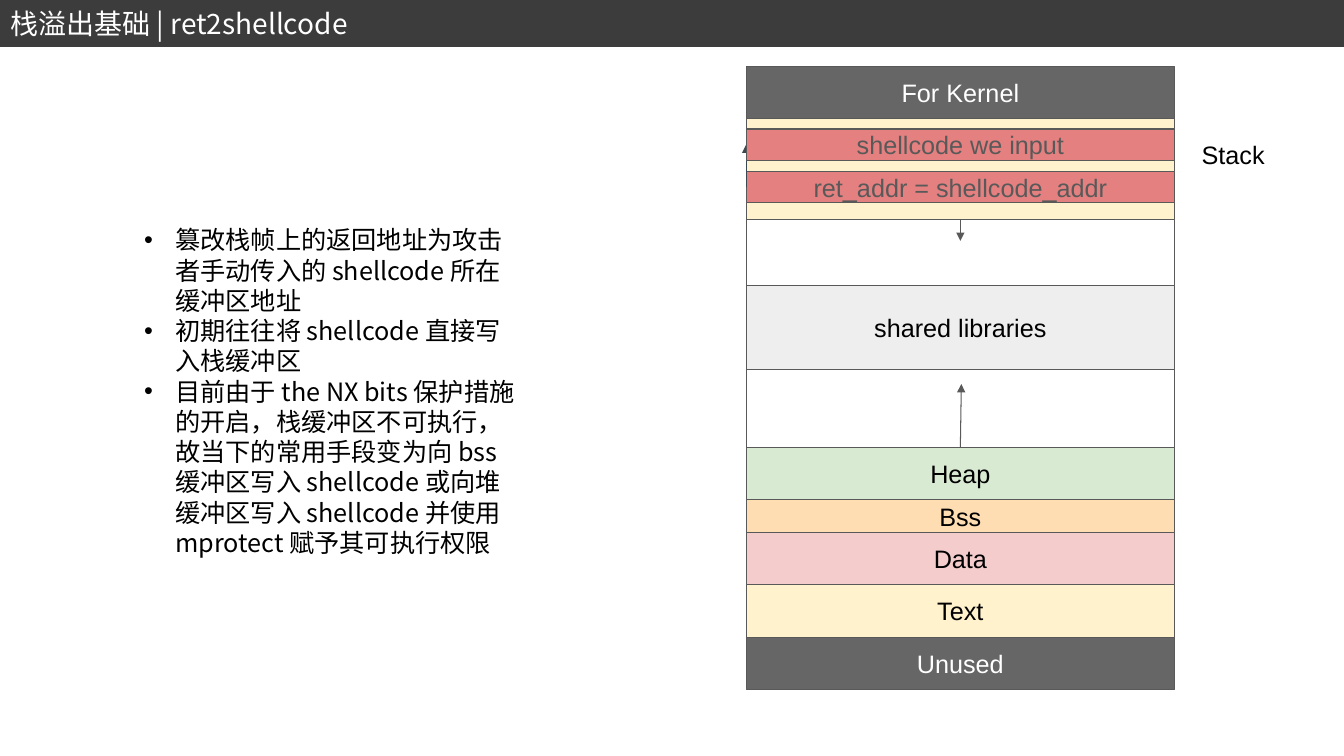
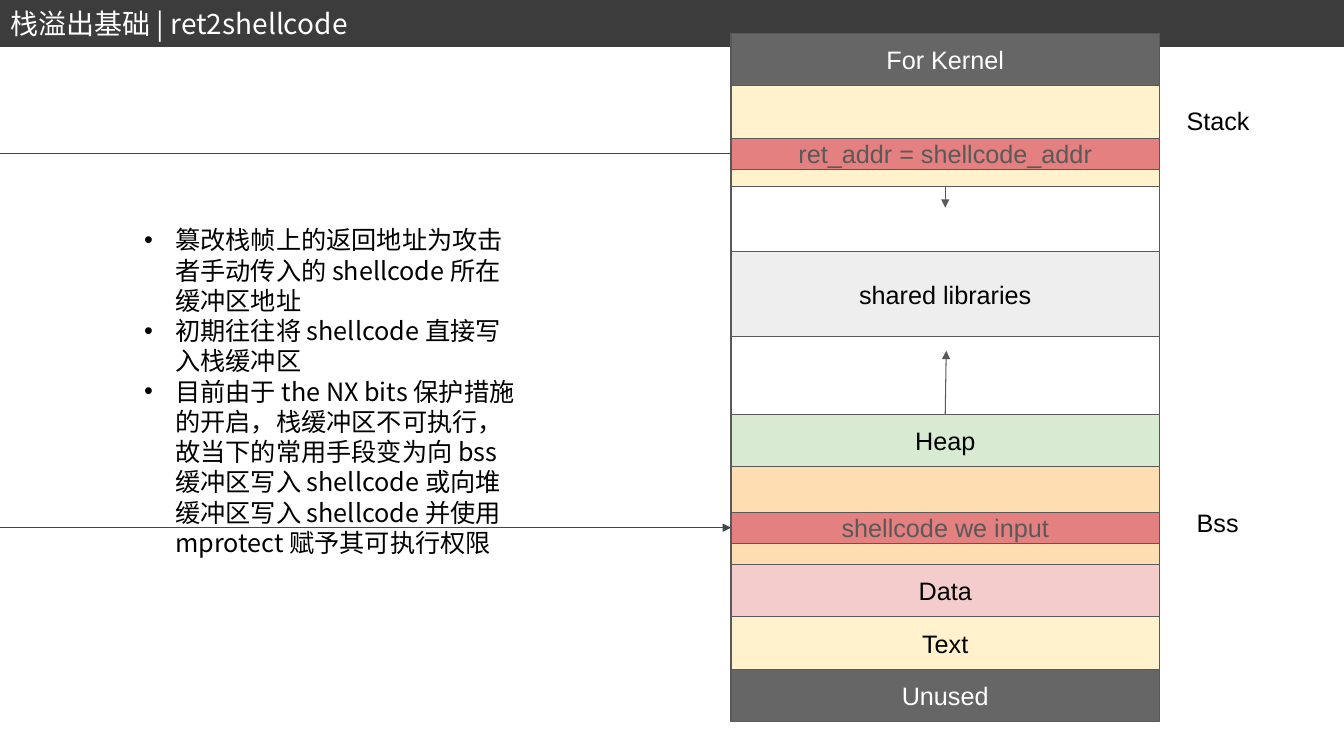
from lxml import etree
from pptx import Presentation
from pptx import util as u
from pptx.dml.color import RGBColor
from pptx.enum import shapes, text
from pptx.oxml.ns import qn

COLOURS = {
    "band": "3C3C3C", "white": "FFFFFF", "black": "000000", "border": "595959",
    "reserved": "666666", "sand": "FFF2CC", "library": "EEEEEE", "heap": "D9EAD3",
    "bss": "FFDDB3", "data": "F4CCCC", "attack": "E48080", "jump": "3A4950",
}
LATIN_FONT = "Arial"
CHINESE_FONT = "Noto Sans CJK SC"
TITLE = "栈溢出基础 | ret2shellcode"
POINTS = [
    "篡改栈帧上的返回地址为攻击者手动传入的 shellcode 所在缓冲区地址",
    "初期往往将 shellcode 直接写入栈缓冲区",
    "目前由于 the NX bits 保护措施的开启，栈缓冲区不可执行，故当下的常用手段变为向 bss "
    "缓冲区写入 shellcode 或向堆缓冲区写入 shellcode 并使用 mprotect 赋予其可执行权限",
]
# name, label, height, fill, font colour; the height of Bss differs by slide
SEGMENTS = [
    ("kernel", "For Kernel", 0.52, "reserved", "white"),
    ("stack", "", 1.0, "sand", "black"),
    ("upper gap", "", 0.65, "white", "black"),
    ("libraries", "shared libraries", 0.84, "library", "black"),
    ("lower gap", "", 0.77, "white", "black"),
    ("heap", "Heap", 0.52, "heap", "black"),
    ("bss", "Bss", None, "bss", "black"),
    ("data", "Data", 0.52, "data", "black"),
    ("text", "Text", 0.52, "sand", "black"),
    ("unused", "Unused", 0.52, "reserved", "white"),
]
MAP_WIDTH = 4.25
STRIP_HEIGHT = 0.31
RETURN_OFFSET = 1.04
TOP, LEFT, BOTTOM = 0, 1, 2


def rgb(name):
    return RGBColor.from_string(COLOURS[name])


def inches(*values):
    return [u.Inches(value) for value in values]


def add_run(paragraph, words, size, colour, font=LATIN_FONT):
    run = paragraph.add_run()
    run.text = words
    run.font.size = u.Pt(size)
    run.font.color.rgb = rgb(colour)
    run.font.name = font
    if font == CHINESE_FONT:
        properties = run.font._element
        etree.SubElement(properties, qn("a:ea")).set("typeface", font)


def add_box(slide, left, top, width, height, fill, label="", font_colour="black",
            line="border", line_width=0.75):
    shape = slide.shapes.add_shape(shapes.MSO_SHAPE.RECTANGLE,
                                   *inches(left, top, width, height))
    shape.shadow.inherit = False
    shape.fill.solid()
    shape.fill.fore_color.rgb = rgb(fill)
    shape.line.color.rgb = rgb(line)
    shape.line.width = u.Pt(line_width)
    if label:
        frame = shape.text_frame
        frame.vertical_anchor = text.MSO_ANCHOR.MIDDLE
        frame.margin_left = frame.margin_right = u.Inches(0.1)
        frame.margin_top = frame.margin_bottom = u.Inches(0.1)
        paragraph = frame.paragraphs[0]
        paragraph.alignment = text.PP_ALIGN.CENTER
        add_run(paragraph, label, 18, font_colour)
    return shape


def add_line(slide, start, end, colour="border", arrow=True):
    connector = slide.shapes.add_connector(shapes.MSO_CONNECTOR.STRAIGHT,
                                           *inches(*start, *end))
    connector.line.color.rgb = rgb(colour)
    connector.line.width = u.Pt(0.75)
    if arrow:
        line = connector.line._get_or_add_ln()
        etree.SubElement(line, qn("a:tailEnd")).set("type", "triangle")
    etree.SubElement(connector._element.spPr, qn("a:effectLst"))
    return connector


def add_text_frame(slide, left, top, width, height):
    frame = slide.shapes.add_textbox(*inches(left, top, width, height)).text_frame
    frame.word_wrap = True
    return frame


def add_label(slide, left, top, width, words):
    frame = add_text_frame(slide, left, top, width, 0.4)
    add_run(frame.paragraphs[0], words, 18, "black")


def add_points(slide):
    frame = add_text_frame(slide, 1.33, 2.18, 3.95, 3.43)
    for index, words in enumerate(POINTS):
        paragraph = frame.add_paragraph() if index else frame.paragraphs[0]
        paragraph.line_spacing = u.Pt(21.6)
        properties = paragraph._p.get_or_add_pPr()
        properties.set("marL", str(u.Inches(0.31)))
        properties.set("indent", str(-u.Inches(0.31)))
        etree.SubElement(properties, qn("a:buFont")).set("typeface", LATIN_FONT)
        etree.SubElement(properties, qn("a:buChar")).set("char", "•")
        add_run(paragraph, words, 18, "black", CHINESE_FONT)


def add_band(layout, slide):
    """Put the title band behind everything on the layout."""
    band = add_box(slide, 0, 0.01, 13.33, 0.44, "band", line="band", line_width=2)
    layout.shapes.element.insert(2, band.element)


def add_title(slide):
    title = slide.shapes.title
    title.left, title.top, title.width, title.height = inches(0, 0.01, 6.17, 0.44)
    frame = title.text_frame
    frame.vertical_anchor = text.MSO_ANCHOR.MIDDLE
    frame.auto_size = text.MSO_AUTO_SIZE.NONE
    paragraph = frame.paragraphs[0]
    paragraph.alignment = text.PP_ALIGN.LEFT
    paragraph.line_spacing = u.Pt(24)
    add_run(paragraph, TITLE, 20, "white", CHINESE_FONT)


def add_strip(slide, left, top, label):
    return add_box(slide, left, top, MAP_WIDTH, STRIP_HEIGHT, "attack", label, "border")


def add_memory_map(slide, left, top, bss_height, bss_label):
    """Stack the segments downwards and return the strip with the return address."""
    boxes, tops = {}, {}
    segment_top = top
    for name, label, height, fill, font_colour in SEGMENTS:
        if name == "bss":
            height, label = bss_height, bss_label
        boxes[name] = add_box(slide, left, segment_top, MAP_WIDTH, height,
                              fill, label, font_colour)
        tops[name] = segment_top
        segment_top += height

    middle = left + MAP_WIDTH / 2
    stack_end, heap_start = tops["upper gap"], tops["heap"]
    growth = add_line(slide, (middle, stack_end), (middle, stack_end + 0.21))
    growth.begin_connect(boxes["stack"], BOTTOM)
    growth = add_line(slide, (middle, heap_start), (middle + 0.01, heap_start - 0.63))
    growth.begin_connect(boxes["heap"], TOP)
    add_label(slide, left + 4.42, top + 0.67, 0.94, "Stack")
    return add_strip(slide, left, top + RETURN_OFFSET, "ret_addr = shellcode_addr")


def add_stack_slide(slide):
    left, top, shellcode_top = 7.4, 0.66, 1.28
    return_strip = add_memory_map(slide, left, top, 0.32, "Bss")
    half = STRIP_HEIGHT / 2
    jump = add_line(slide, (left, top + RETURN_OFFSET + half),
                    (left, shellcode_top + half), "jump")
    shellcode = add_strip(slide, left, shellcode_top, "shellcode we input")
    jump.begin_connect(return_strip, LEFT)
    jump.end_connect(shellcode, LEFT)


def add_bss_slide(slide):
    left, top, shellcode_top = 7.25, 0.33, 5.08
    return_strip = add_memory_map(slide, left, top, 0.97, "")
    shellcode = add_strip(slide, left, shellcode_top, "shellcode we input")
    add_label(slide, left + 4.52, 4.98, 0.75, "Bss")
    for strip, strip_top, arrow in ((return_strip, top + RETURN_OFFSET, False),
                                    (shellcode, shellcode_top, True)):
        y = strip_top + STRIP_HEIGHT / 2
        jump = add_line(slide, (0, y), (left, y), "jump", arrow)
        jump.end_connect(strip, LEFT)


def main():
    presentation = Presentation()
    presentation.slide_width, presentation.slide_height = inches(13.33, 7.5)
    layout = presentation.slide_layouts.get_by_name("Title Only")
    for index, add_content in enumerate((add_stack_slide, add_bss_slide)):
        slide = presentation.slides.add_slide(layout)
        if index == 0:
            add_band(layout, slide)
        add_title(slide)
        add_content(slide)
        add_points(slide)
    presentation.save("out.pptx")


if __name__ == "__main__":
    main()
